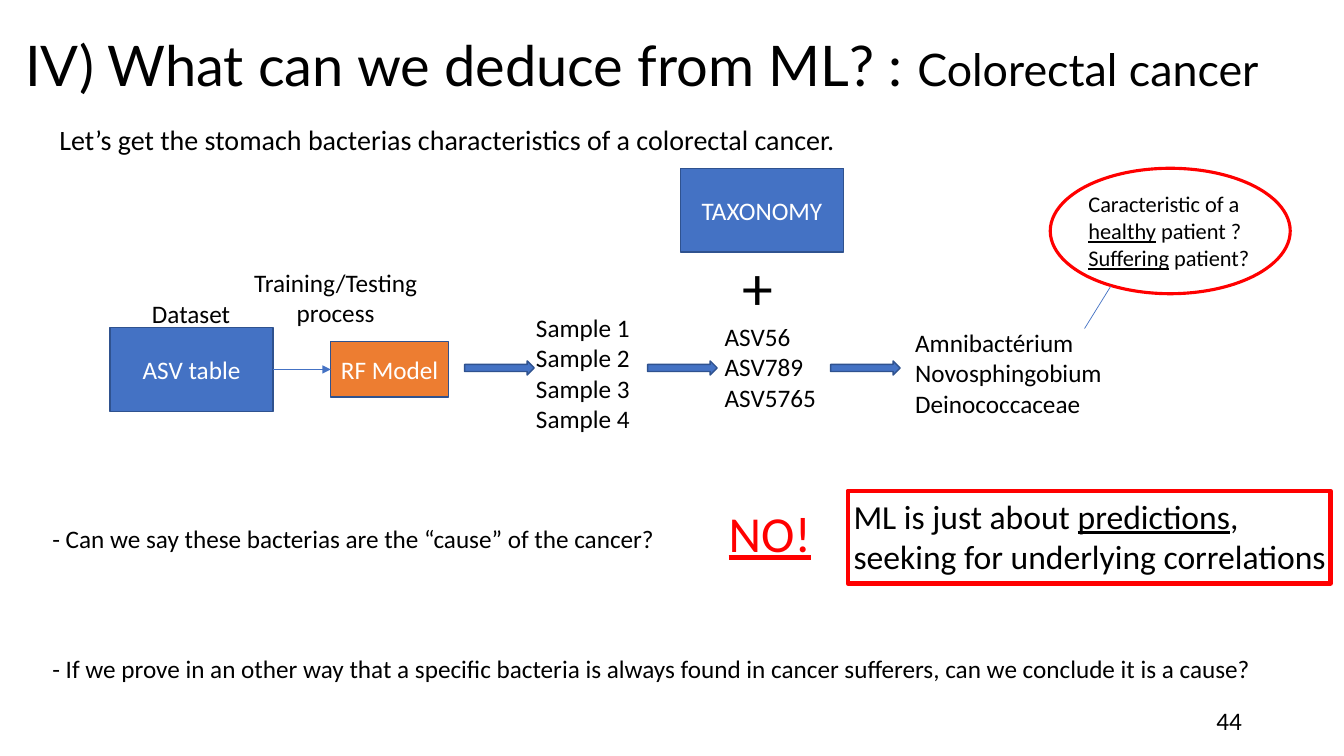
from dataclasses import dataclass

import pptx
import pptx.util
import pptx.dml.color
import pptx.enum.shapes
import pptx.enum.text
import pptx.oxml
import pptx.oxml.ns

Pt = pptx.util.Pt
Kind = pptx.enum.shapes.MSO_SHAPE
Align = pptx.enum.text.PP_ALIGN
Anchor = pptx.enum.text.MSO_ANCHOR

HUES = {
    "black": "000000",
    "white": "FFFFFF",
    "red": "FF0000",
    "blue": "4472C4",
    "navy": "2F528F",
    "orange": "ED7D31",
}


@dataclass
class Note:
    text: str
    left: float
    top: float
    width: float
    height: float
    size: float = 18
    hue: str = "black"
    align: Align = Align.LEFT
    anchor: Anchor = Anchor.TOP


@dataclass
class Block:
    kind: Kind
    left: float
    top: float
    width: float
    height: float
    text: str = ""
    fill: str = ""
    line: str = "navy"
    weight: float = 1


NOTES = [
    Note("Let’s get the stomach bacterias characteristics of a colorectal cancer.",
         35.3, 84.2, 639.4, 31.7, size=20),
    Note("_NO!_", 513.4, 355, 183.6, 51.1, size=36, hue="red"),
    Note("ML is just about _predictions_, seeking for underlying correlations",
         602.6, 350.6, 365.8, 66.2, size=24),
    Note("Sample 1\nSample 2\nSample 3\nSample 4", 375.8, 219.6, 169.9, 116.6),
    Note("+", 523.4, 174.2, 59, 60.5, size=44),
    Note("ASV56\nASV789\nASV5765", 510.5, 226.1, 95, 72.7),
    Note("Dataset", 101.5, 209.5, 95.8, 28.8),
    Note("Training/Testing process", 169.2, 187.2, 141.1, 51.1, align=Align.CENTER),
    Note("Amnibactérium\nNovosphingobium\nDeinococcaceae", 646.6, 230.4, 157, 72.7),
    Note("Caracteristic of a _healthy_ patient ? _Suffering_ patient?",
         770.4, 132.5, 139.7, 65.5, size=16),
    Note("44", 678.2, 500.4, 216, 28.8, align=Align.RIGHT, anchor=Anchor.MIDDLE),
]

TABLE = Block(Kind.RECTANGLE, 78.5, 234, 116.6, 59.8, "ASV table", "blue")
MODEL = Block(Kind.RECTANGLE, 236.2, 244.1, 84.2, 39.6, "RF Model", "orange")
BLOCKS = [
    Block(Kind.RECTANGLE, 486, 120.2, 116.6, 59.8, "TAXONOMY", "blue"),
    Block(Kind.RECTANGLE, 605.5, 350.6, 344.9, 66.2, line="red", weight=3),
    Block(Kind.OVAL, 750.2, 120.2, 171.4, 89.6, line="red", weight=2.25),
    *(Block(Kind.RIGHT_ARROW, 331.9 + 130.7 * step, 257.8, 49.7, 10.1, fill="blue")
      for step in range(3)),
]

ASKS = [
    "- Can we say these bacterias are the “cause” of the cancer?",
    "- If we prove in an other way that a specific bacteria is always found in "
    "cancer sufferers, can we conclude it is a cause?",
]


def tint(name: str) -> pptx.dml.color.RGBColor:
    return pptx.dml.color.RGBColor.from_string(HUES[name])


def write(para, text: str, *, size: float = 18, hue: str = "black",
          font: str = "Calibri", align: Align = Align.LEFT) -> None:
    para.alignment = align
    for turn, part in enumerate(text.split("_")):
        if part:
            run = para.add_run()
            run.text = part
            run.font.name = font
            run.font.size = Pt(size)
            run.font.color.rgb = tint(hue)
            if turn % 2:
                run.font.underline = True


def place(shape, left: float, top: float, width: float, height: float) -> None:
    shape.left, shape.top = Pt(left), Pt(top)
    shape.width, shape.height = Pt(width), Pt(height)
    frame = shape.text_frame
    frame.word_wrap = True
    frame.auto_size = pptx.enum.text.MSO_AUTO_SIZE.NONE
    frame.vertical_anchor = Anchor.TOP


def add_note(slide, note: Note) -> None:
    box = slide.shapes.add_textbox(0, 0, 0, 0)
    place(box, note.left, note.top, note.width, note.height)
    frame = box.text_frame
    frame.vertical_anchor = note.anchor
    for row, text in enumerate(note.text.split("\n")):
        para = frame.add_paragraph() if row else frame.paragraphs[0]
        write(para, text, size=note.size, hue=note.hue, align=note.align)


def add_block(slide, block: Block):
    shape = slide.shapes.add_shape(block.kind, Pt(block.left), Pt(block.top),
                                   Pt(block.width), Pt(block.height))
    shape.shadow.inherit = False
    if block.fill:
        shape.fill.solid()
        shape.fill.fore_color.rgb = tint(block.fill)
    else:
        shape.fill.background()
    shape.line.color.rgb = tint(block.line)
    shape.line.width = Pt(block.weight)
    if block.text:
        frame = shape.text_frame
        frame.margin_left = frame.margin_right = Pt(3)
        frame.vertical_anchor = Anchor.MIDDLE
        write(frame.paragraphs[0], block.text, hue="white", align=Align.CENTER)
    return shape


def add_link(slide, left: float, top: float, right: float, low: float):
    link = slide.shapes.add_connector(pptx.enum.shapes.MSO_CONNECTOR.STRAIGHT,
                                      Pt(left), Pt(top), Pt(right), Pt(low))
    link.line.color.rgb = tint("blue")
    link.line.width = Pt(0.5)
    props = link._element.spPr
    props.append(pptx.oxml.parse_xml(f"<a:effectLst {pptx.oxml.ns.nsdecls('a')}/>"))
    return link


def add_title(slide) -> None:
    title = slide.shapes.title
    place(title, 10.8, 18, 925.9, 93.6)
    para = title.text_frame.paragraphs[0]
    write(para, "IV) What can we deduce from ML? : ", size=40, font="Lato")
    write(para, "Colorectal cancer", size=32, font="Lato")


def add_asks(slide) -> None:
    body = slide.placeholders[1]
    place(body, 30.2, 370.1, 897.1, 121.7)
    for row, text in enumerate(ASKS):
        para = body.text_frame.add_paragraph() if row else body.text_frame.paragraphs[0]
        props = para._p.get_or_add_pPr()
        props.set("marL", "0")
        props.set("indent", "0")
        props.append(pptx.oxml.parse_xml(f"<a:buNone {pptx.oxml.ns.nsdecls('a')}/>"))
        para.space_before = Pt(71 * row)
        write(para, text)


def main() -> None:
    deck = pptx.Presentation()
    deck.slide_width, deck.slide_height = Pt(960), Pt(540)
    slide = deck.slides.add_slide(deck.slide_layouts[1])
    add_title(slide)
    add_asks(slide)
    table, model = add_block(slide, TABLE), add_block(slide, MODEL)
    for block in BLOCKS:
        add_block(slide, block)
    arrow = add_link(slide, 195.1, 263.9, 236.2, 263.9)
    arrow.begin_connect(table, 3)
    arrow.end_connect(model, 1)
    tail = f'<a:tailEnd {pptx.oxml.ns.nsdecls("a")} type="triangle"/>'
    arrow.line._get_or_add_ln().append(pptx.oxml.parse_xml(tail))
    add_link(slide, 774.7, 234.7, 793.4, 204.5)
    for note in NOTES:
        add_note(slide, note)
    deck.save("out.pptx")


if __name__ == "__main__":
    main()
